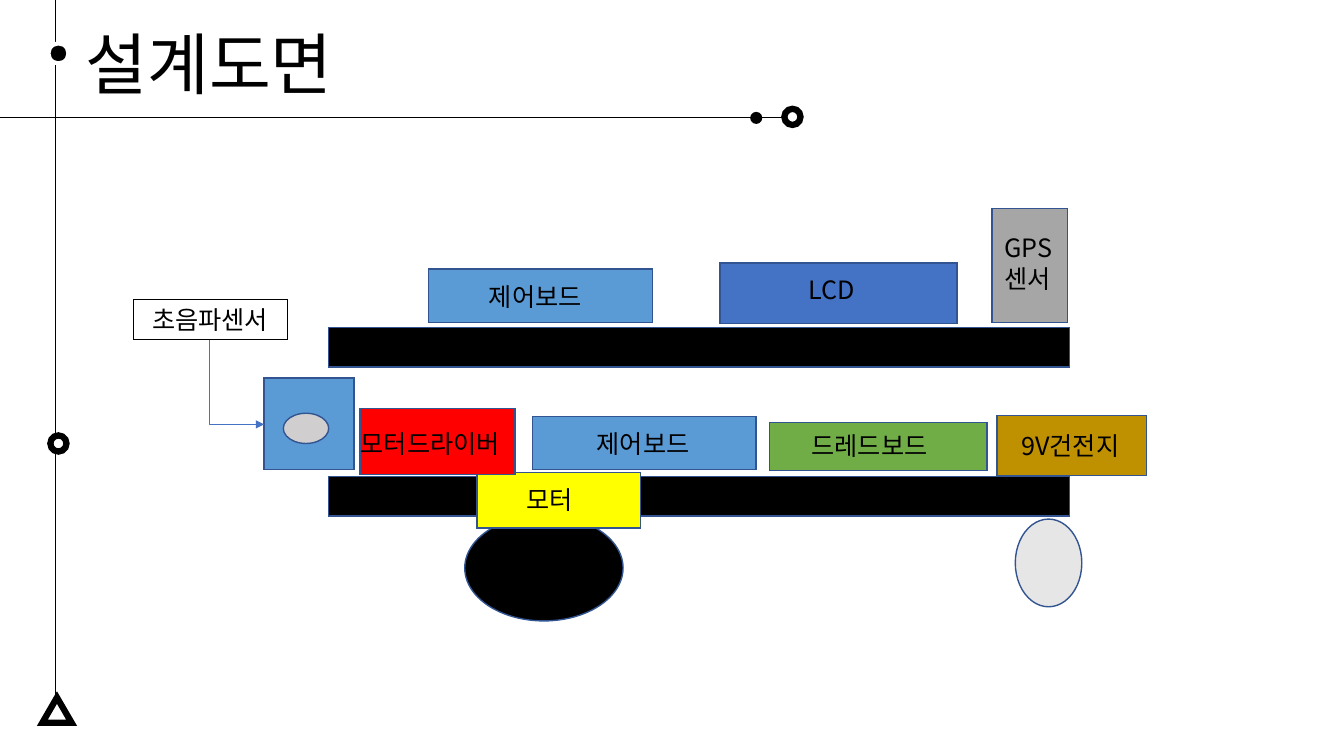
from dataclasses import dataclass

from lxml import etree
from pptx import Presentation
from pptx.dml.color import RGBColor
from pptx.enum.shapes import MSO_CONNECTOR, MSO_SHAPE
from pptx.enum.text import MSO_AUTO_SIZE, PP_ALIGN
from pptx.oxml.ns import qn
from pptx.util import Inches, Pt

RECTANGLE, ELLIPSE = MSO_SHAPE.RECTANGLE, MSO_SHAPE.OVAL
TRIANGLE = MSO_SHAPE.ISOSCELES_TRIANGLE
STRAIGHT, ELBOW = MSO_CONNECTOR.STRAIGHT, MSO_CONNECTOR.ELBOW
FIT_TEXT = MSO_AUTO_SIZE.SHAPE_TO_FIT_TEXT
LEFT, CENTER = PP_ALIGN.LEFT, PP_ALIGN.CENTER
COLUMNS, ROWS = 13.33, 7.5
BLANK_LAYOUT = 6


@dataclass(frozen=True)
class Theme:
    """Colours, font and type sizes of the slide."""

    font: str = "Noto Sans CJK KR"
    title_size: int = 48
    label_size: int = 18
    black: str = "000000"
    white: str = "FFFFFF"
    outline: str = "325491"
    arrow: str = "4472C4"
    board: str = "5B9BD5"
    display: str = "4472C4"
    motor: str = "FFFF00"
    driver: str = "FF0000"
    breadboard: str = "70AD47"
    battery: str = "BF9000"
    gps: str = "A6A6A6"
    caster: str = "E7E6E6"
    lens: str = "D0CECE"


THEME = Theme()


def grid(*cells):
    """Turn columns and rows of the one-inch grid into lengths."""
    return [Inches(cell) for cell in cells]


def set_line(line, color, width):
    """Give a line its colour and width."""
    line.color.rgb = RGBColor.from_string(color)
    line.width = Pt(width)


def add_part(shapes, kind, area, fill, line=THEME.outline, width=1):
    """Add a filled and outlined part with sharp corners."""
    shape = shapes.add_shape(kind, *grid(*area))
    shape.shadow.inherit = False
    shape.fill.solid()
    shape.fill.fore_color.rgb = RGBColor.from_string(fill)
    if line is None:
        shape.line.fill.background()
    else:
        set_line(shape.line, line, width)
        outline = shape._element.spPr.find(qn("a:ln"))
        etree.SubElement(outline, qn("a:miter"), lim="800000")
    return shape


def add_label(shapes, area, lines, size=THEME.label_size, align=LEFT, wrap=True):
    """Add a text box with one paragraph per line."""
    label = shapes.add_textbox(*grid(*area))
    frame = label.text_frame
    frame.word_wrap = wrap
    frame.auto_size = FIT_TEXT
    frame.text = lines
    for paragraph in frame.paragraphs:
        paragraph.alignment = align
        font = paragraph.font
        font.name = THEME.font
        font.size = Pt(size)
        font.color.rgb = RGBColor.from_string(THEME.black)
        properties = paragraph._p.pPr.find(qn("a:defRPr"))
        etree.SubElement(properties, qn("a:ea"), typeface=THEME.font)
    return label


def add_line(shapes, kind, ends, color):
    """Add a thin connector without a shadow."""
    connector = shapes.add_connector(kind, *grid(*ends))
    set_line(connector.line, color, 0.5)
    etree.SubElement(connector._element.spPr, qn("a:effectLst"))
    return connector


def add_sensor_arrow(shapes):
    """Add the arrow that runs down and then right to the sensor."""
    arrow = add_line(shapes, ELBOW, (2.77, 3.52, 1.93, 4.06), THEME.arrow)
    properties = arrow._element.spPr
    properties.find(qn("a:xfrm")).set("rot", "16200000")
    properties.find(qn("a:prstGeom")).set("prst", "bentConnector2")
    etree.SubElement(properties.find(qn("a:ln")), qn("a:tailEnd"), type="triangle")


def add_frame(shapes):
    """Add the grouped rules, dots and rings beside the title."""
    group = shapes.add_group_shape().shapes
    add_line(group, STRAIGHT, (0, 1.16, 7.93, 1.16), THEME.black)
    add_part(group, ELLIPSE, (7.44, 1.11, 0.12, 0.12), THEME.black, None)
    add_line(group, STRAIGHT, (0.55, 0, 0.55, 7.11), THEME.black)
    add_part(group, ELLIPSE, (0.48, 0.43, 0.2, 0.2), THEME.black, THEME.white, 3)
    for kind, area in (
        (ELLIPSE, (0.5, 4.32, 0.16, 0.16)),
        (TRIANGLE, (0.42, 6.92, 0.29, 0.25)),
        (ELLIPSE, (7.78, 1.08, 0.16, 0.16)),
    ):
        add_part(group, kind, area, THEME.white, THEME.black, 4.5)


def add_vehicle(shapes):
    """Add the decks, wheels and components with their labels."""
    for top in (4.73, 3.25):
        add_part(shapes, RECTANGLE, (3.26, top, 7.35, 0.39), THEME.black)
    add_part(shapes, RECTANGLE, (2.62, 3.75, 0.89, 0.91), THEME.board)
    add_part(shapes, ELLIPSE, (2.81, 4.1, 0.45, 0.3), THEME.lens)
    add_part(shapes, ELLIPSE, (10.07, 5.15, 0.66, 0.87), THEME.caster)
    components = (
        (THEME.display, (7.14, 2.61, 2.35, 0.6), "LCD", (7.92, 2.67, 1.16, 0.4)),
        (THEME.motor, (4.73, 4.69, 1.62, 0.55), "모터", (5.12, 4.76, 2.03, 0.4)),
        (THEME.breadboard, (7.63, 4.19, 2.16, 0.48), "드레드보드", (7.95, 4.22, 2.72, 0.4)),
        (THEME.board, (5.28, 4.13, 2.22, 0.53), "제어보드", (5.82, 4.2, 2.12, 0.4)),
        (THEME.battery, (9.89, 4.12, 1.48, 0.6), "9V건전지", (10.03, 4.22, 1.63, 0.4)),
        (THEME.gps, (9.84, 2.07, 0.75, 1.13), "GPS\n센서", (9.86, 2.26, 1.16, 0.71)),
        (THEME.driver, (3.57, 4.05, 1.54, 0.66), "모터드라이버", (3.48, 4.2, 3.24, 0.4)),
        (THEME.board, (4.25, 2.67, 2.22, 0.53), "제어보드", (4.75, 2.74, 1.89, 0.4)),
    )
    for fill, area, text, text_area in components:
        add_part(shapes, RECTANGLE, area, fill)
        add_label(shapes, text_area, text)


def main():
    """Build the design drawing slide and save it."""
    presentation = Presentation()
    presentation.slide_width, presentation.slide_height = grid(COLUMNS, ROWS)
    slide = presentation.slides.add_slide(presentation.slide_layouts[BLANK_LAYOUT])
    shapes = slide.shapes
    add_part(shapes, ELLIPSE, (4.61, 5.11, 1.57, 1.05), THEME.black)
    add_label(shapes, (0.75, 0.17, 2.87, 0.91), "설계도면", THEME.title_size, wrap=False)
    add_frame(shapes)
    add_vehicle(shapes)
    sensor = add_label(shapes, (1.32, 2.97, 1.53, 0.4), "초음파센서", align=CENTER)
    set_line(sensor.line, THEME.black, 0)
    add_sensor_arrow(shapes)
    presentation.save("out.pptx")


if __name__ == "__main__":
    main()
